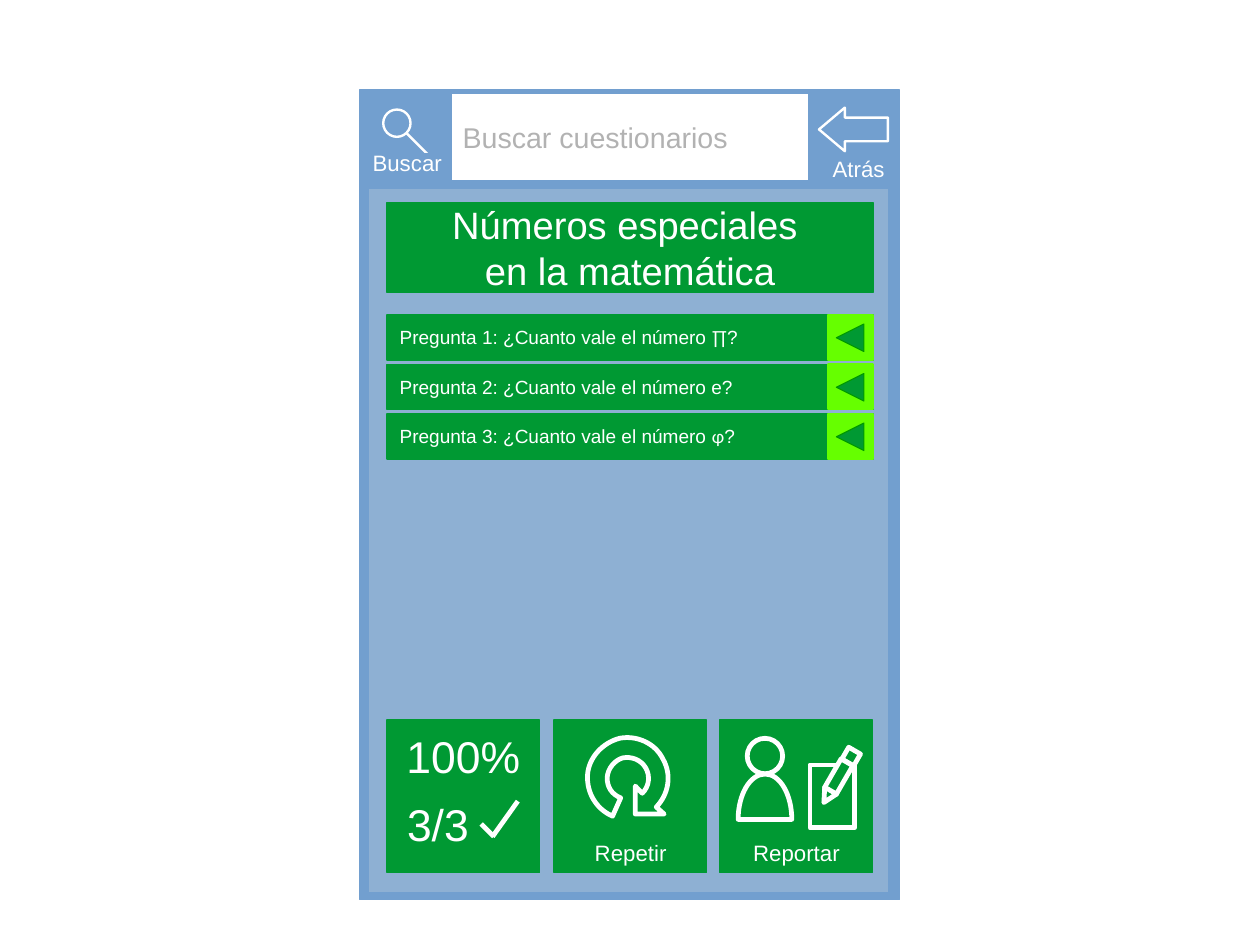
from dataclasses import dataclass
from itertools import groupby

from lxml import etree
from pptx import Presentation
from pptx.dml.color import RGBColor
from pptx.enum import shapes, text
from pptx.oxml.ns import qn
from pptx.util import Pt

COLORS = {
    "frame": "729FCF",
    "panel": "8EB0D3",
    "green": "009933",
    "edge": "009900",
    "lime": "66FF00",
    "white": "FFFFFF",
    "hint": "B2B2B2",
}
SYMBOLS = "∏φ"
KIND = shapes.MSO_SHAPE
CENTER, LEFT = text.PP_ALIGN.CENTER, text.PP_ALIGN.LEFT

Point = tuple[float, float]


@dataclass
class Block:
    """A filled preset shape, in points, with optional text."""
    x: float
    y: float
    w: float
    h: float
    fill: str = "green"
    line: str = "green"
    weight: float = 0
    kind: shapes.MSO_SHAPE = KIND.RECTANGLE
    rotation: float = 0
    adjustments: tuple[float, ...] = ()
    lines: tuple[str, ...] = ()
    size: float = 14
    color: str = "white"
    align: text.PP_ALIGN = CENTER
    inset: float = 7.9


@dataclass
class Stroke:
    start: Point
    end: Point
    weight: float


@dataclass
class Outline:
    """A closed outline: Bézier segments of three points each, then straight corners."""
    start: Point
    pieces: tuple[tuple[Point, ...], ...]


Item = Block | Stroke | Outline


def rgb(name: str) -> RGBColor:
    return RGBColor.from_string(COLORS[name])


def paint(shape, fill: str, line: str, weight: float) -> None:
    shape.shadow.inherit = False
    shape.fill.solid()
    shape.fill.fore_color.rgb = rgb(fill)
    shape.line.color.rgb = rgb(line)
    shape.line.width = Pt(weight)


def write(shape, block: Block) -> None:
    frame = shape.text_frame
    frame.word_wrap = False
    frame.vertical_anchor = text.MSO_ANCHOR.MIDDLE
    frame.margin_left = frame.margin_right = Pt(block.inset)
    frame.margin_top = frame.margin_bottom = Pt(4)
    for index, line in enumerate(block.lines):
        paragraph = frame.add_paragraph() if index else frame.paragraphs[0]
        paragraph.alignment = block.align
        paragraph.font.name = "Arial"
        paragraph.font.size = Pt(block.size)
        paragraph.font.color.rgb = rgb(block.color)
        for is_symbol, letters in groupby(line, lambda c: c in SYMBOLS):
            run = paragraph.add_run()
            run.text = "".join(letters)
            if is_symbol:
                run.font.name = "Calibri"
                etree.SubElement(run.font._element, qn("a:ea"), typeface="Calibri")


def draw_block(canvas, block: Block) -> None:
    shape = canvas.add_shape(
        block.kind, Pt(block.x), Pt(block.y), Pt(block.w), Pt(block.h))
    paint(shape, block.fill, block.line, block.weight)
    shape.rotation = block.rotation
    for index, value in enumerate(block.adjustments):
        shape.adjustments[index] = value
    if block.lines:
        write(shape, block)


def draw_stroke(canvas, stroke: Stroke) -> None:
    line = canvas.add_connector(
        shapes.MSO_CONNECTOR.STRAIGHT,
        *(Pt(value) for value in stroke.start + stroke.end))
    line.line.color.rgb = rgb("white")
    line.line.width = Pt(stroke.weight)
    etree.SubElement(line._element.spPr, qn("a:effectLst"))


def draw_outline(canvas, outline: Outline) -> None:
    builder = canvas.build_freeform(*map(Pt, outline.start), scale=1.0)
    builder.add_line_segments(
        [(Pt(x), Pt(y)) for piece in outline.pieces for x, y in piece], close=True)
    shape = builder.convert_to_shape()
    paint(shape, "green", "white", 3)
    segments = iter(list(shape._element.iter(qn("a:lnTo"))))
    for piece in outline.pieces:
        first, *others = [next(segments) for _ in piece]
        if others:
            first.tag = qn("a:cubicBezTo")
            for segment in others:
                first.append(segment[0])
                segment.getparent().remove(segment)


def draw_all(canvas, items: list[Item]) -> None:
    for item in items:
        if isinstance(item, Stroke):
            draw_stroke(canvas, item)
        elif isinstance(item, Outline):
            draw_outline(canvas, item)
        else:
            draw_block(canvas, item)


def draw_group(slide, items: list[Item]) -> None:
    draw_all(slide.shapes.add_group_shape().shapes, items)


def draw_header(slide) -> None:
    draw_all(slide.shapes, [
        Block(226.7, 56.7, 340.1, 510.2, "frame", "frame"),
        Block(283.5, 58.1, 226.8, 56.7, "white", "frame", 2.3, lines=("Buscar cuestionarios",),
              size=18, color="hint", align=LEFT),
        Block(232.4, 118.8, 327.4, 443.8, "panel", "frame"),
    ])


def draw_search_and_back(slide) -> None:
    sky = {"fill": "frame", "line": "frame"}
    icon = {"fill": "frame", "line": "white", "weight": 1.5}
    draw_group(slide, [
        Block(229.6, 58.1, 54, 54, weight=1.5, **sky),
        Block(241.4, 69, 17.2, 17.2, kind=KIND.OVAL, **icon),
        Stroke((256.2, 84), (269.5, 97.3), 1.5),
        Block(232.8, 96.9, 47.5, 11, weight=1.5, lines=("Buscar",), **sky),
    ])
    draw_group(slide, [
        Block(510.4, 59.6, 56.4, 56.7, **sky),
        Block(516.1, 100.5, 49.6, 11.4, lines=("Atrás",), **sky),
        Block(515.9, 67.8, 43.4, 27.5, kind=KIND.LEFT_ARROW, adjustments=(0.542, 0.592), **icon),
    ])


def draw_questions(slide) -> None:
    draw_block(slide.shapes, Block(243.8, 127.6, 306.1, 56.7, weight=1, size=24,
                                   lines=("Números especiales ", "en la matemática")))
    for index, subject in enumerate(("∏", "e", "φ")):
        top = 198.4 + 31.2 * index
        question = f"Pregunta {index + 1}: ¿Cuanto vale el número {subject}?"
        draw_group(slide, [
            Block(243.8, top, 306.1, 28.3, weight=1, lines=(question,), size=12, align=LEFT),
            Block(521.6, top, 28.3, 28.3, "lime", "lime", 1.5),
            Block(526.9, top + 5.7, 17.3, 17.3, line="edge",
                  kind=KIND.ISOSCELES_TRIANGLE, rotation=270),
        ])


def draw_tiles(slide) -> None:
    icon = {"line": "white", "weight": 3}
    score, repeat, report = [
        Block(left, 453.6, 96.1, 96.3) for left in (243.8, 349, 453.5)]
    draw_group(slide, [
        repeat,
        Block(355, 527.3, 84.5, 19.5, lines=("Repetir",)),
        Outline((404.6, 499.7), (
            ((409, 495.4), (409.7, 488.9), (406.8, 483.8)),
            ((403.9, 478.8), (398.2, 476.4), (392.4, 477.4)),
            ((387.4, 478.8), (383, 483.8), (382.5, 489.6)),
            ((382.3, 495.4), (385.2, 500.4), (391, 502.6)),
            ((385.9, 514.1),),
            ((375.8, 509.8), (369.5, 499.7), (370.1, 488.2)),
            ((370.8, 477.4), (379.4, 468), (390.2, 465.1)),
            ((401, 463), (412.6, 468), (417.6, 478.1)),
            ((423.4, 488.2), (421.2, 500.4), (413.4, 508.4)),
            ((418.4, 512.8),), ((400.2, 512.8),), ((400.2, 495.2),))),
    ])
    draw_group(slide, [
        report,
        Block(459.2, 527.3, 85, 19.5, lines=("Reportar",)),
        Outline((465, 516.2), (
            ((465, 500.4), (472.6, 487.6), (482, 487.6)),
            ((491.3, 487.6), (498.8, 500.4), (498.8, 516.2)),
            ((482, 516.2),))),
        Block(470.7, 465.1, 22.3, 22.3, kind=KIND.OVAL, **icon),
        Block(510.2, 481.9, 28.3, 39.6, **icon),
        Block(531.9, 472.3, 8.6, 8.6, rotation=30, **icon),
        Block(524, 478.8, 8.6, 20.9, rotation=30, **icon),
        Block(516.8, 497.5, 8.6, 8.6, kind=KIND.ISOSCELES_TRIANGLE, rotation=210, **icon),
    ])
    draw_all(slide.shapes, [
        score,
        Block(249.3, 459.1, 85, 34, lines=("100%",), size=28),
        Block(249.3, 501.8, 51, 34, lines=("3/3",), size=28, align=LEFT, inset=7.2),
    ])
    draw_group(slide, [
        Stroke((303.1, 519.1), (311, 527), 3),
        Stroke((326.2, 504.7), (310.3, 527), 3),
    ])


def main() -> None:
    deck = Presentation()
    deck.slide_width, deck.slide_height = Pt(793.7), Pt(595.3)
    slide = deck.slides.add_slide(deck.slide_layouts[6])
    draw_header(slide)
    draw_search_and_back(slide)
    draw_questions(slide)
    draw_tiles(slide)
    deck.save("out.pptx")


if __name__ == "__main__":
    main()
